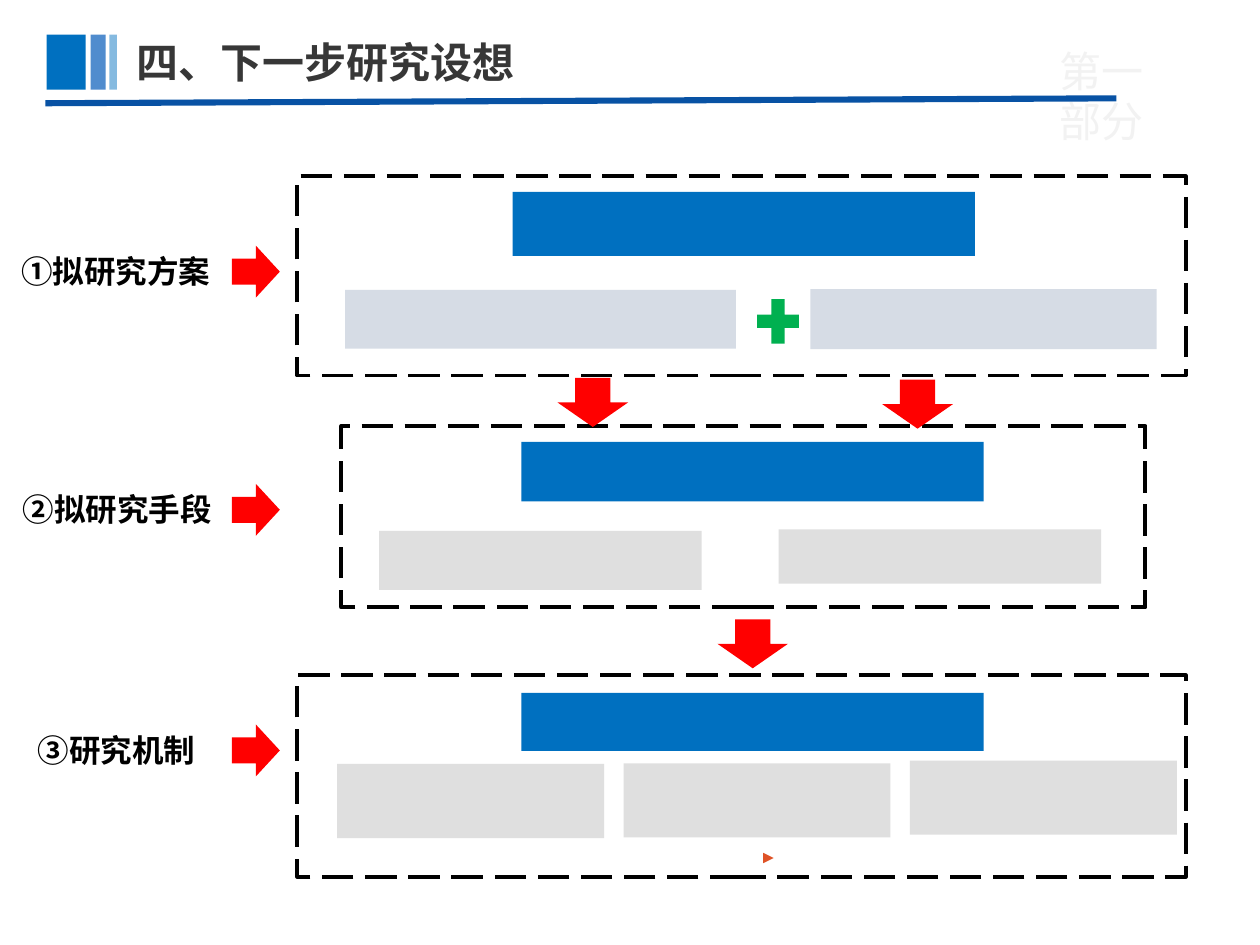
from lxml import etree
from pptx import Presentation
from pptx import util as u
from pptx.dml.color import RGBColor
from pptx.enum import dml, shapes, text
from pptx.oxml.ns import qn

FONT = "Noto Sans CJK SC"
COLORS = {
    "blue": "0070C0", "mid_blue": "065CBA", "rule": "0852A4", "pale_blue": "D6DCE5",
    "gray": "DFDFDF", "red": "FF0000", "green": "00B050", "orange": "DF5327",
    "black": "000000", "title": "373737", "faint": "F2F2F2",
}
KIND = shapes.MSO_SHAPE

# Content: all boxes are (left, top, width, height) in points
TITLE = ("四、下一步研究设想", (70.6, 17.3, 242, 36))
SECTION = ("第一部分", (598.3, 22.3, 85, 65.5))
TITLE_BARS = [(26.6, 22.3, "blue", None), (51.8, 8.6, "mid_blue", 70), (62.6, 4.3, "blue", 48)]
STAGES = [
    {"label": ("①拟研究方案", (5, 140.4, 131, 29)),
     "frame": (169.9, 100.8, 507.6, 113.8),
     "header": (293, 109.6, 264.2, 36.6),
     "items": [(197.3, 165.6, 223.2, 33.6), (463, 165.2, 198, 34.4)],
     "item_color": "pale_blue"},
    {"label": ("②拟研究手段", (5.9, 276.5, 139.7, 29)),
     "frame": (195.1, 243.4, 459.4, 103.7),
     "header": (298, 252.5, 264.2, 34),
     "items": [(216.7, 303.4, 184.3, 33.8), (445, 302.5, 184.3, 31)],
     "item_color": "gray"},
    {"label": ("③研究机制", (14.4, 414, 111.6, 29)),
     "frame": (169.9, 385.9, 507.6, 115.2),
     "header": (298, 396, 264.2, 33.1),
     "items": [(192.7 + 163.6 * i, top, 152.6, 42.4)
               for i, top in enumerate((436.6, 436.2, 434.6))],
     "item_color": "gray"},
]
PLUS = (428.4, 166.3, 32.4, 34.6)
DOWN_ARROWS = [(318.6, 216), (504.2, 217), (410, 353.9)]

deck = Presentation()
deck.slide_width, deck.slide_height = u.Pt(720), u.Pt(540)
slide = deck.slides.add_slide(deck.slide_layouts[5])


def rgb(name):
    return RGBColor.from_string(COLORS[name])


def write(words, box, holder=None, size=18, color="black", bold=False):
    holder = holder or slide.shapes.add_textbox(0, 0, 0, 0)
    holder.left, holder.top, holder.width, holder.height = map(u.Pt, box)
    frame = holder.text_frame
    frame.word_wrap = True
    frame.auto_size = text.MSO_AUTO_SIZE.NONE
    frame.vertical_anchor = text.MSO_ANCHOR.TOP
    paragraph = frame.paragraphs[0]
    paragraph.alignment = text.PP_ALIGN.LEFT
    run = paragraph.add_run()
    run.text = words
    run.font.size, run.font.bold, run.font.name = u.Pt(size), bold, FONT
    run.font.color.rgb = rgb(color)
    etree.SubElement(run.font._element, qn("a:ea"), typeface=FONT)


def block(kind, box, color=None, opacity=None):
    """Filled shape, or a dashed frame when no color is given."""
    shape = slide.shapes.add_shape(kind, *map(u.Pt, box))
    shape.shadow.inherit = False
    if color is None:
        shape.fill.background()
        shape.line.color.rgb = rgb("black")
        shape.line.width = u.Pt(2.25)
        shape.line.dash_style = dml.MSO_LINE.LONG_DASH
        return
    shape.fill.solid()
    shape.fill.fore_color.rgb = rgb(color)
    shape.line.fill.background()
    if opacity:
        tint = shape._element.spPr.find(".//" + qn("a:srgbClr"))
        etree.SubElement(tint, qn("a:alpha"), val=str(opacity * 1000))


def rule(start, end, color, width, arrow=False):
    line = slide.shapes.add_connector(
        shapes.MSO_CONNECTOR.STRAIGHT, *map(u.Pt, start + end))
    line.line.color.rgb = rgb(color)
    line.line.width = u.Pt(width)
    if arrow:
        etree.SubElement(line.line._get_or_add_ln(), qn("a:tailEnd"), type="triangle")
    etree.SubElement(line._element.spPr, qn("a:effectLst"))


# Heading
write(*SECTION, size=24, color="faint")
rule((25.9, 59), (637.9, 56.2), "rule", 3.5)
for left, width, color, opacity in TITLE_BARS:
    block(KIND.RECTANGLE, (left, 19.8, width, 31.5), color, opacity)
write(*TITLE, holder=slide.shapes.title, size=24, color="title", bold=True)

# Stages, each with its label and pointer
for stage in STAGES:
    block(KIND.RECTANGLE, stage["frame"])
    block(KIND.RECTANGLE, stage["header"], "blue")
    for item in stage["items"]:
        block(KIND.RECTANGLE, item, stage["item_color"])
    write(*stage["label"], bold=True)
    block(KIND.RIGHT_ARROW, (132.5, stage["label"][1][1], 27.4, 29.7), "red")

# Plus sign and flow between stages
block(KIND.MATH_PLUS, PLUS, "green")
for left, top in DOWN_ARROWS:
    block(KIND.DOWN_ARROW, (left, top, 40.3, 28), "red")
rule((440.6, 490.3), (442.1, 490.3), "orange", 1.5, arrow=True)

deck.save("out.pptx")
